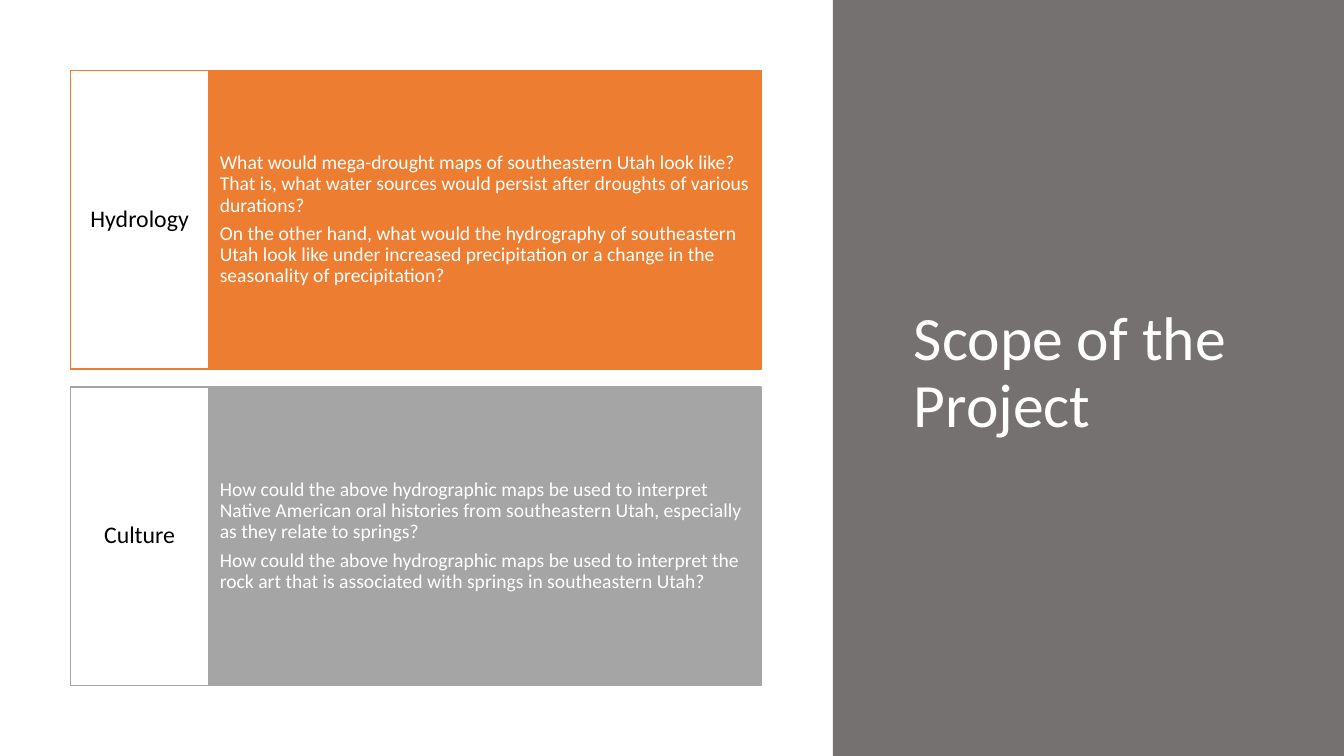
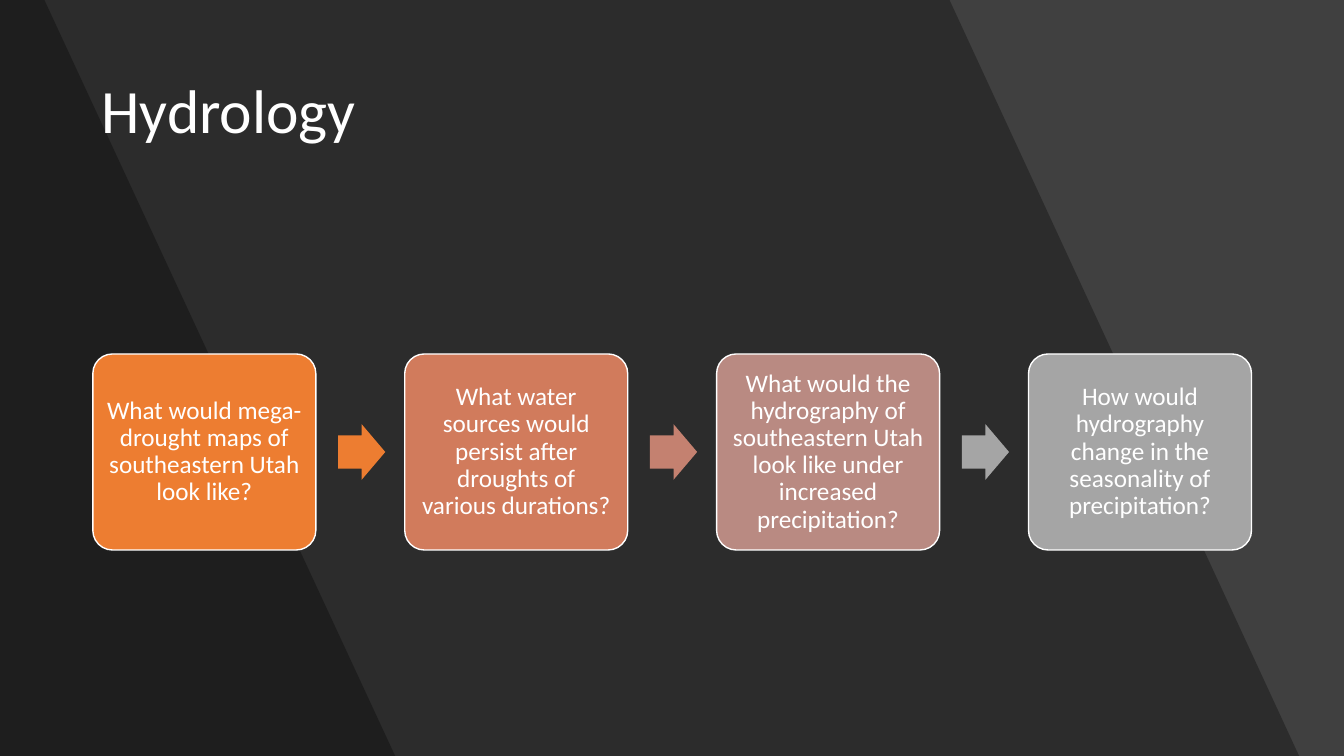
"""Build two slides: the scope of the project and its hydrology questions."""
from dataclasses import dataclass

from lxml import etree
from pptx import Presentation, util as u
from pptx.dml.color import RGBColor
from pptx.enum import shapes, text
from pptx.oxml.ns import qn


@dataclass(frozen=True)
class Theme:
    font: str = "Calibri"
    white: str = "FFFFFF"
    black: str = "000000"
    orange: str = "ED7D31"
    clay: str = "D17B5C"
    coral: str = "C48170"
    rose: str = "B98A82"
    grey: str = "A5A5A5"
    panel: str = "767171"
    dark: str = "404040"
    title: int = 44
    step: int = 18
    label: int = 17
    body: int = 14


look = Theme()
kind = shapes.MSO_SHAPE
left, mid = text.PP_ALIGN.LEFT, text.PP_ALIGN.CENTER


def write(shape, *lines, size=look.title, color=look.white, align=left,
          pad=(0.25, 0.13), after=0):
    frame = shape.text_frame
    frame.word_wrap = True
    frame.vertical_anchor = text.MSO_ANCHOR.MIDDLE
    frame.margin_left = frame.margin_right = u.Cm(pad[0])
    frame.margin_top = frame.margin_bottom = u.Cm(pad[1])
    for i, line in enumerate(lines):
        para = frame.add_paragraph() if i else frame.paragraphs[0]
        para.text = line
        para.alignment = align
        para.line_spacing = 0.9
        para.space_after = u.Pt(after)
        para.font.name = look.font
        para.font.size = u.Pt(size)
        para.font.color.rgb = RGBColor.from_string(color)


def paint(shape, fill, edge=None):
    shape.shadow.inherit = False
    shape.fill.solid()
    shape.fill.fore_color.rgb = RGBColor.from_string(fill)
    if edge:
        shape.line.color.rgb = RGBColor.from_string(edge)
        shape.line.width = u.Pt(1)
    else:
        shape.line.fill.background()
    return shape


deck = Presentation()
deck.slide_width, deck.slide_height = u.Cm(33.87), u.Cm(19.05)
blank = deck.slide_layouts[6]

scope = deck.slides.add_slide(blank)
paint(scope.shapes.add_shape(kind.RECTANGLE, u.Cm(20.99), 0, u.Cm(12.88),
                             deck.slide_height), look.panel)
title = scope.shapes.add_textbox(u.Cm(22.78), u.Cm(1.78), u.Cm(10.19), u.Cm(15.29))
write(title, "Scope of the Project")

themes = [
    ("Hydrology", look.orange, [
        "What would mega-drought maps of southeastern Utah look like? That is, "
        "what water sources would persist after droughts of various durations?",
        "On the other hand, what would the hydrography of southeastern Utah look "
        "like under increased precipitation or a change in the seasonality of "
        "precipitation?"]),
    ("Culture", look.grey, [
        "How could the above hydrographic maps be used to interpret Native American "
        "oral histories from southeastern Utah, especially as they relate to springs?",
        "How could the above hydrographic maps be used to interpret the rock art "
        "that is associated with springs in southeastern Utah?"]),
]
edge, wide, high = 1.78, 3.48, 7.52
for i, (name, color, lines) in enumerate(themes):
    top = u.Cm(edge + i * 7.97)
    body = scope.shapes.add_shape(kind.RECTANGLE, u.Cm(edge + wide), top,
                                  u.Cm(13.92), u.Cm(high))
    write(paint(body, color, color), *lines, size=look.body, pad=(0.28, 1.9), after=5)
    label = scope.shapes.add_shape(kind.RECTANGLE, u.Cm(edge), top,
                                   u.Cm(wide), u.Cm(high))
    write(paint(label, look.white, color), name, size=look.label,
          color=look.black, align=mid, pad=(0.18, 0.74))

flow = deck.slides.add_slide(blank)
back = flow.background.fill
back.solid()
back.fore_color.rgb = RGBColor.from_string(look.dark)
for upper, lower in [(23.93, 32.74), (1.12, 9.96)]:
    path = flow.shapes.build_freeform(0, 0)
    path.add_line_segments([(u.Cm(upper), 0), (u.Cm(lower), deck.slide_height),
                            (0, deck.slide_height)])
    shade = paint(path.convert_to_shape(), look.black)
    tone = shade.fill._xPr.find(qn("a:solidFill"))[0]
    etree.SubElement(tone, qn("a:alpha")).set("val", "30000")
title = flow.shapes.add_textbox(u.Cm(2.31), u.Cm(1.02), u.Cm(29.24), u.Cm(3.68))
write(title, "Hydrology")

steps = [
    ("What would mega-drought maps of southeastern Utah look like?",
     look.orange, look.orange),
    ("What water sources would persist after droughts of various durations?",
     look.clay, look.coral),
    ("What would the hydrography of southeastern Utah look like under increased "
     "precipitation?", look.rose, look.grey),
    ("How would hydrography change in the seasonality of precipitation?",
     look.grey, None),
]
for i, (ask, color, next_tone) in enumerate(steps):
    x = 2.34 + i * 7.86
    card = flow.shapes.add_shape(kind.ROUNDED_RECTANGLE, u.Cm(x), u.Cm(8.92),
                                 u.Cm(5.62), u.Cm(4.94))
    card.adjustments[0] = 0.1
    write(paint(card, color, look.white), ask, size=look.step, align=mid,
          pad=(0.18, 0.18))
    if next_tone:
        arrow = flow.shapes.add_shape(kind.RIGHT_ARROW, u.Cm(x + 6.18), u.Cm(10.69),
                                      u.Cm(1.19), u.Cm(1.4))
        arrow.adjustments[0] = 0.6
        paint(arrow, next_tone)

deck.save("out.pptx")
